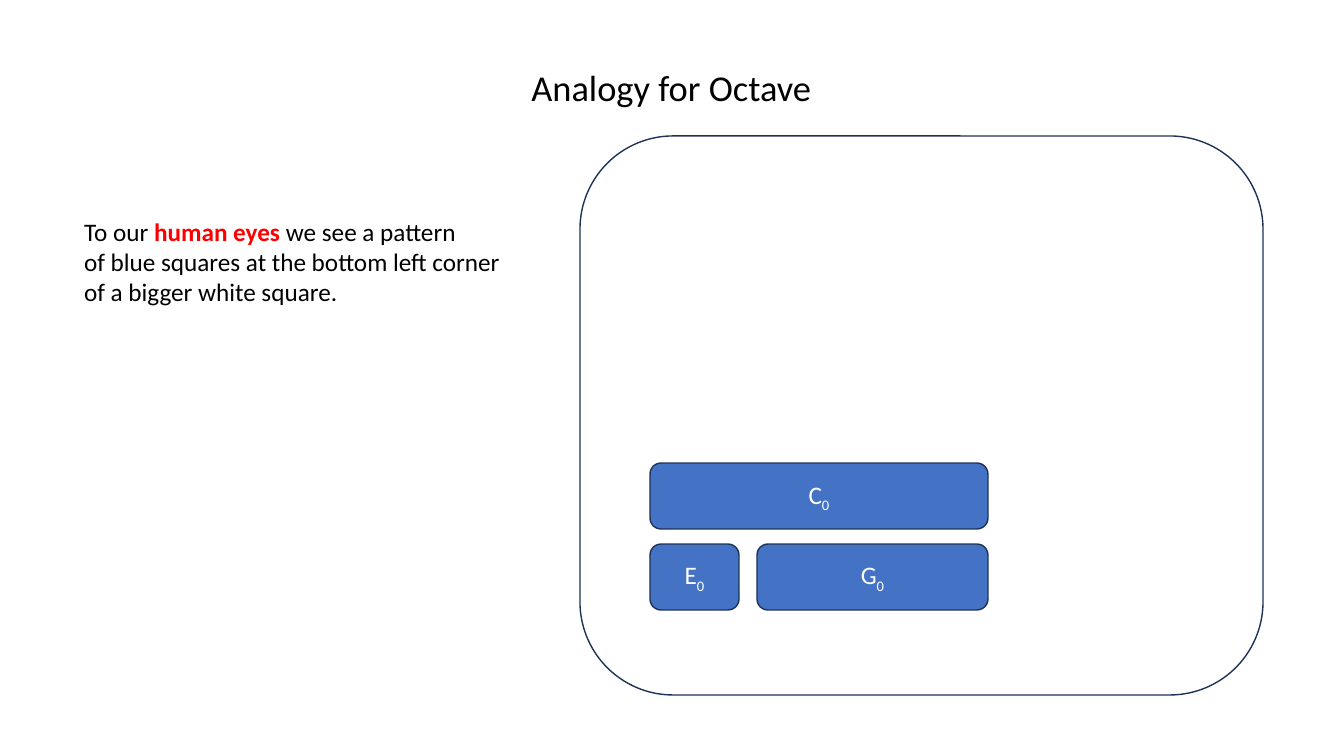
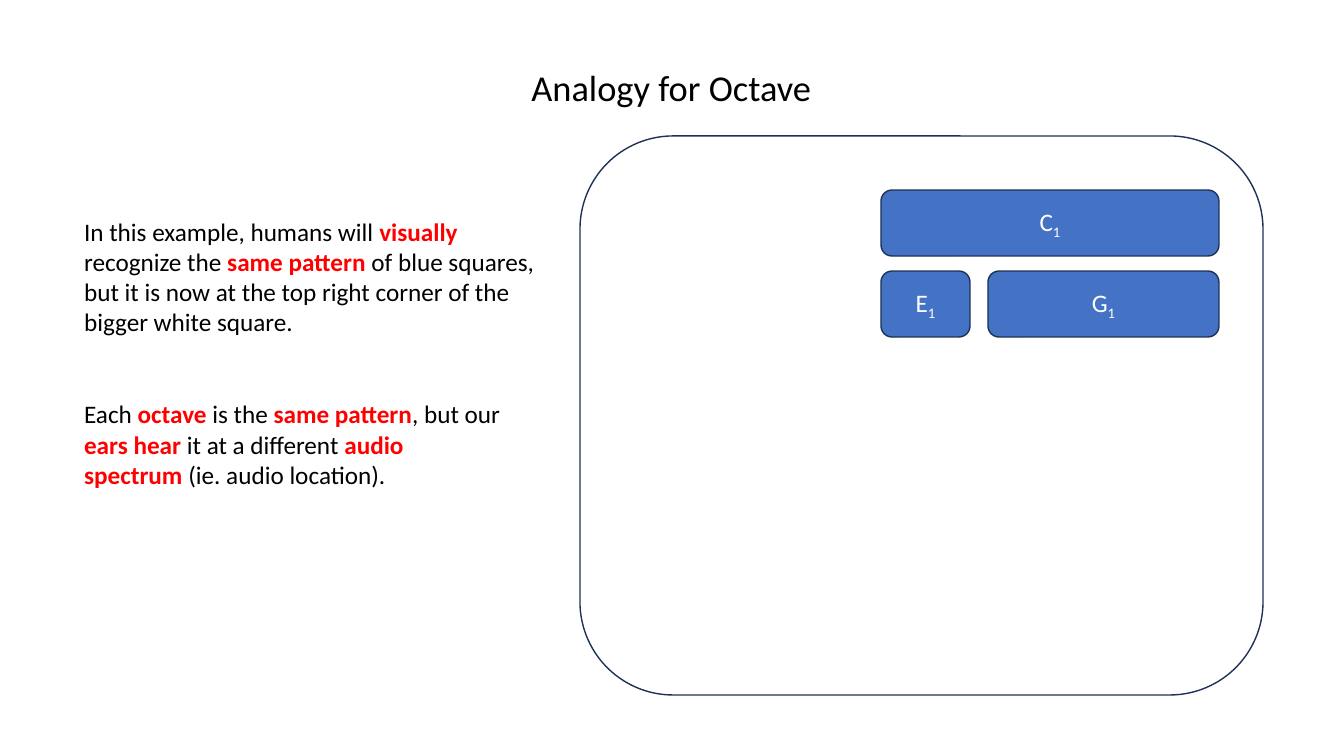
"""Build two slides that explain the octave through blocks moving in a square."""
from lxml import etree
from pptx import Presentation
from pptx.dml.color import RGBColor
from pptx.enum.shapes import MSO_SHAPE
from pptx.enum.text import MSO_ANCHOR, MSO_AUTO_SIZE, PP_ALIGN
from pptx.oxml.ns import qn
from pptx.util import Pt

ROUNDED = MSO_SHAPE.ROUNDED_RECTANGLE
MIDDLE, TOP = MSO_ANCHOR.MIDDLE, MSO_ANCHOR.TOP
CENTER, LEFT = PP_ALIGN.CENTER, PP_ALIGN.LEFT
FIXED = MSO_AUTO_SIZE.NONE

SCALE = 12192000 / 1344
FONT = "Calibri"
TEXT_SIZE, TITLE_SIZE = 18, 26
COLORS = {
    "text": "000000",
    "accent": "FF0000",
    "block": "4472C4",
    "outline": "1E3256",
    "label": "FFFFFF",
}
TITLE = "Analogy for Octave"
TITLE_BOX = (520, 60, 303, 54)
PANEL_BOX = (580, 136, 683, 559)
BODY_LEFT, BODY_TOP = 74, 211
BLOCK_HEIGHT, ROW_STEP = 66, 81
BLOCKS = [("E", 0, 1, 89), ("G", 107, 1, 231), ("C", 0, 0, 338)]

SLIDES = [
    {
        "octave": "0",
        "pattern_at": (650, 463),
        "body_size": (443, 102),
        "paragraphs": [
            "To our *human eyes *we see a pattern\n"
            "of blue squares at the bottom left corner\n"
            "of a bigger white square.",
        ],
    },
    {
        "octave": "1",
        "pattern_at": (881, 190),
        "body_size": (476, 285),
        "paragraphs": [
            "In this example, humans will *visually*\n"
            "recognize the *same pattern *of blue squares,\n"
            "but it is now at the top right corner of the\n"
            "bigger white square.",
            "Each *octave* is the *same pattern*, but our\n"
            "*ears hear* it at a different *audio*\n"
            "*spectrum* (ie. audio location).",
        ],
    },
]


def style(span, size, color, bold=False):
    span.font.name = FONT
    span.font.size = Pt(size)
    span.font.bold = bold
    span.font.color.rgb = RGBColor.from_string(COLORS[color])


def add_rounded(page, *box):
    shape = page.shapes.add_shape(ROUNDED, *(round(n * SCALE) for n in box))
    shape.shadow.inherit = False
    shape.line.color.rgb = RGBColor.from_string(COLORS["outline"])
    shape.line.width = Pt(1)
    return shape


deck = Presentation()
deck.slide_width, deck.slide_height = round(1344 * SCALE), round(756 * SCALE)

for content in SLIDES:
    page = deck.slides.add_slide(deck.slide_layouts[1])
    title, body = page.shapes.title, page.placeholders[1]
    body_box = (BODY_LEFT, BODY_TOP, *content["body_size"])
    for holder, box, anchor in ((title, TITLE_BOX, MIDDLE), (body, body_box, TOP)):
        holder.left, holder.top, holder.width, holder.height = (
            round(n * SCALE) for n in box
        )
        holder.text_frame.word_wrap = False
        holder.text_frame.auto_size = FIXED
        holder.text_frame.vertical_anchor = anchor

    title.text_frame.text = TITLE
    style(title.text_frame.paragraphs[0].runs[0], TITLE_SIZE, "text")

    for number, text in enumerate(content["paragraphs"]):
        frame = body.text_frame
        para = frame.add_paragraph() if number else frame.paragraphs[0]
        para.alignment = LEFT
        para.space_before = Pt(44 if number else 0)
        properties = para._p.get_or_add_pPr()
        properties.set("marL", "0")
        properties.set("indent", "0")
        etree.SubElement(properties, qn("a:buNone"))
        for row, line in enumerate(text.split("\n")):
            if row:
                para.add_line_break()
            for position, part in enumerate(line.split("*")):
                if part:
                    strong = position % 2 == 1
                    span = para.add_run()
                    span.text = part
                    style(span, TEXT_SIZE, "accent" if strong else "text", strong)
        for line_break in para._p.findall(qn("a:br")):
            etree.SubElement(line_break, qn("a:rPr"), sz=str(TEXT_SIZE * 100))

    panel = add_rounded(page, *PANEL_BOX)
    panel.fill.background()

    left, top = content["pattern_at"]
    for note, offset, row, width in BLOCKS:
        block = add_rounded(
            page, left + offset, top + row * ROW_STEP, width, BLOCK_HEIGHT
        )
        block.fill.solid()
        block.fill.fore_color.rgb = RGBColor.from_string(COLORS["block"])
        block.text_frame.vertical_anchor = MIDDLE
        para = block.text_frame.paragraphs[0]
        para.alignment = CENTER
        for text in (note, content["octave"]):
            span = para.add_run()
            span.text = text
            style(span, TEXT_SIZE, "label")
        span._r.get_or_add_rPr().set("baseline", "-25000")

deck.save("out.pptx")
